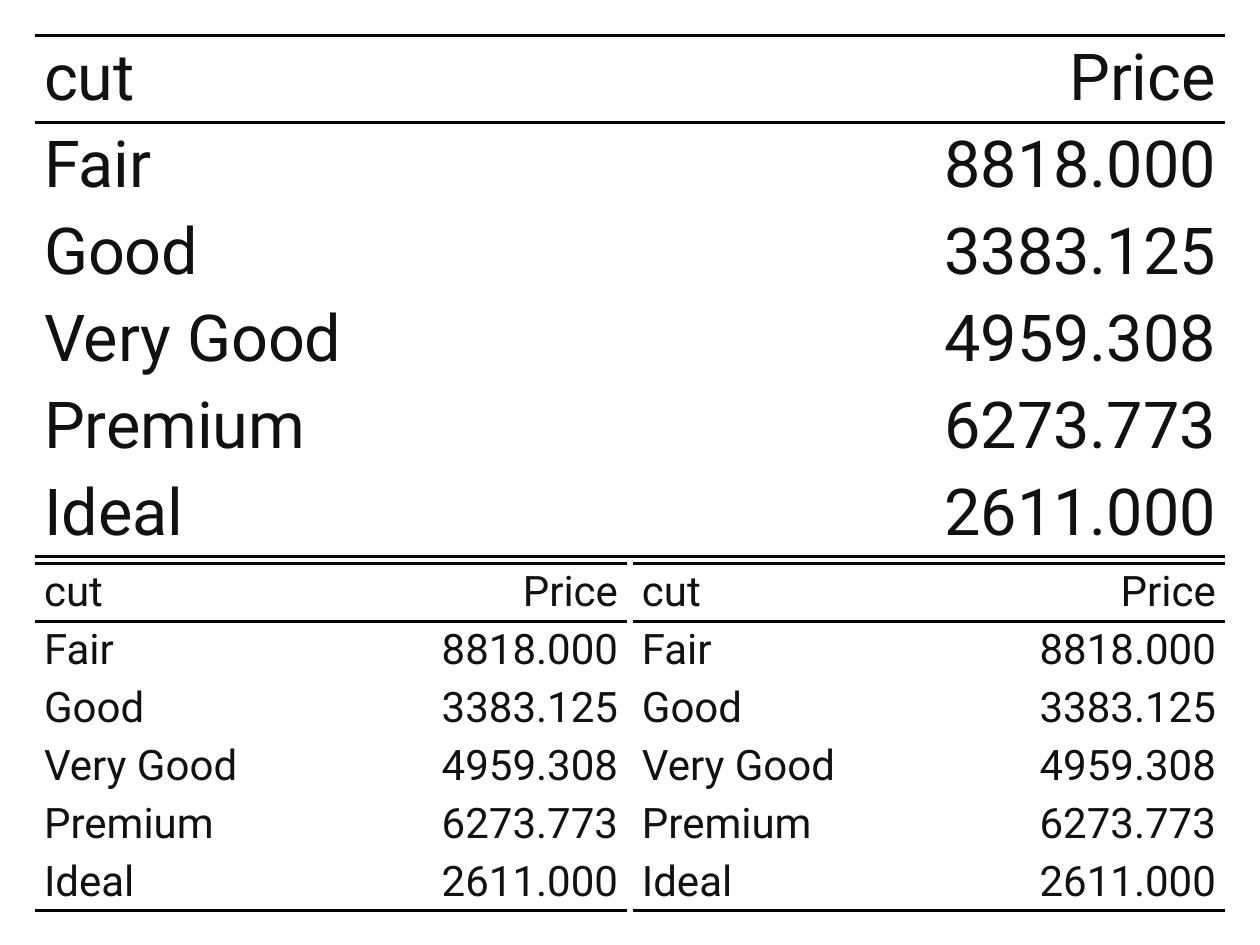
from lxml import etree
from pptx import Presentation
from pptx.dml.color import RGBColor
from pptx.enum.text import MSO_ANCHOR, PP_ALIGN
from pptx.oxml.ns import qn
from pptx.util import Inches, Pt

LEFT, RIGHT = PP_ALIGN.LEFT, PP_ALIGN.RIGHT
MIDDLE = MSO_ANCHOR.MIDDLE
INK = RGBColor(0x11, 0x11, 0x11)
RULE = RGBColor(0, 0, 0)
NO_STYLE = "{2D5ABB26-0587-4C30-8999-92F81FD0307C}"

ROWS = [
    ("cut", "Price"),
    ("Fair", "8818.000"),
    ("Good", "3383.125"),
    ("Very Good", "4959.308"),
    ("Premium", "6273.773"),
    ("Ideal", "2611.000"),
]
LAST = len(ROWS) - 1
EDGES = {0: ("a:lnT", "a:lnB"), LAST: ("a:lnB",)}

MARGIN = 0.28
GAP = 0.05
FULL_WIDTH = 10 - 2 * MARGIN
HALF_WIDTH = (FULL_WIDTH - GAP) / 2
CUT_SHARE = 0.52
LOWER_TOP = 4.47
INDENT = str(Inches(0.07))

TABLES = [
    {"left": MARGIN, "top": MARGIN, "width": FULL_WIDTH, "row": 0.69, "size": 37},
    {"left": MARGIN, "top": LOWER_TOP, "width": HALF_WIDTH, "row": 0.46, "size": 24},
    {"left": MARGIN + HALF_WIDTH + GAP, "top": LOWER_TOP, "width": HALF_WIDTH, "row": 0.46, "size": 24},
]
CELL_FORMAT = {
    "margin_left": 0,
    "margin_right": 0,
    "margin_top": 0,
    "margin_bottom": 0,
    "vertical_anchor": MIDDLE,
}


def add_rule(cell_properties, position, edge):
    line = etree.Element(qn(edge), w=str(Pt(2)), cap="flat", cmpd="sng", algn="ctr")
    fill = etree.SubElement(line, qn("a:solidFill"))
    etree.SubElement(fill, qn("a:srgbClr"), val=str(RULE))
    etree.SubElement(line, qn("a:prstDash"), val="solid")
    cell_properties.insert(position, line)


presentation = Presentation()
presentation.slide_width = Inches(10)
presentation.slide_height = Inches(7.5)
slide = presentation.slides.add_slide(presentation.slide_layouts[6])

for layout in TABLES:
    frame = slide.shapes.add_table(
        len(ROWS), 2,
        Inches(layout["left"]), Inches(layout["top"]),
        Inches(layout["width"]), Inches(layout["row"] * len(ROWS)),
    )
    table = frame.table
    table.first_row = False
    table.horz_banding = False
    next(frame._element.iter(qn("a:tableStyleId"))).text = NO_STYLE
    for column, share in zip(table.columns, (CUT_SHARE, 1 - CUT_SHARE)):
        column.width = Inches(layout["width"] * share)

    for row_index, values in enumerate(ROWS):
        table.rows[row_index].height = Inches(layout["row"])
        for column_index, (value, alignment) in enumerate(zip(values, (LEFT, RIGHT))):
            cell = table.cell(row_index, column_index)
            for name, setting in CELL_FORMAT.items():
                setattr(cell, name, setting)
            cell.fill.background()
            for position, edge in enumerate(EDGES.get(row_index, ())):
                add_rule(cell._tc.get_or_add_tcPr(), position, edge)

            paragraph = cell.text_frame.paragraphs[0]
            paragraph_format = {"alignment": alignment, "space_before": Pt(2), "space_after": Pt(2)}
            for name, setting in paragraph_format.items():
                setattr(paragraph, name, setting)
            paragraph_properties = paragraph._p.get_or_add_pPr()
            for side in ("marL", "marR"):
                paragraph_properties.set(side, INDENT)
            paragraph_properties.set("indent", "0")

            run = paragraph.add_run()
            run.text = value
            run.font.name = "Roboto"
            run.font.size = Pt(layout["size"])
            run.font.color.rgb = INK

presentation.save("out.pptx")
